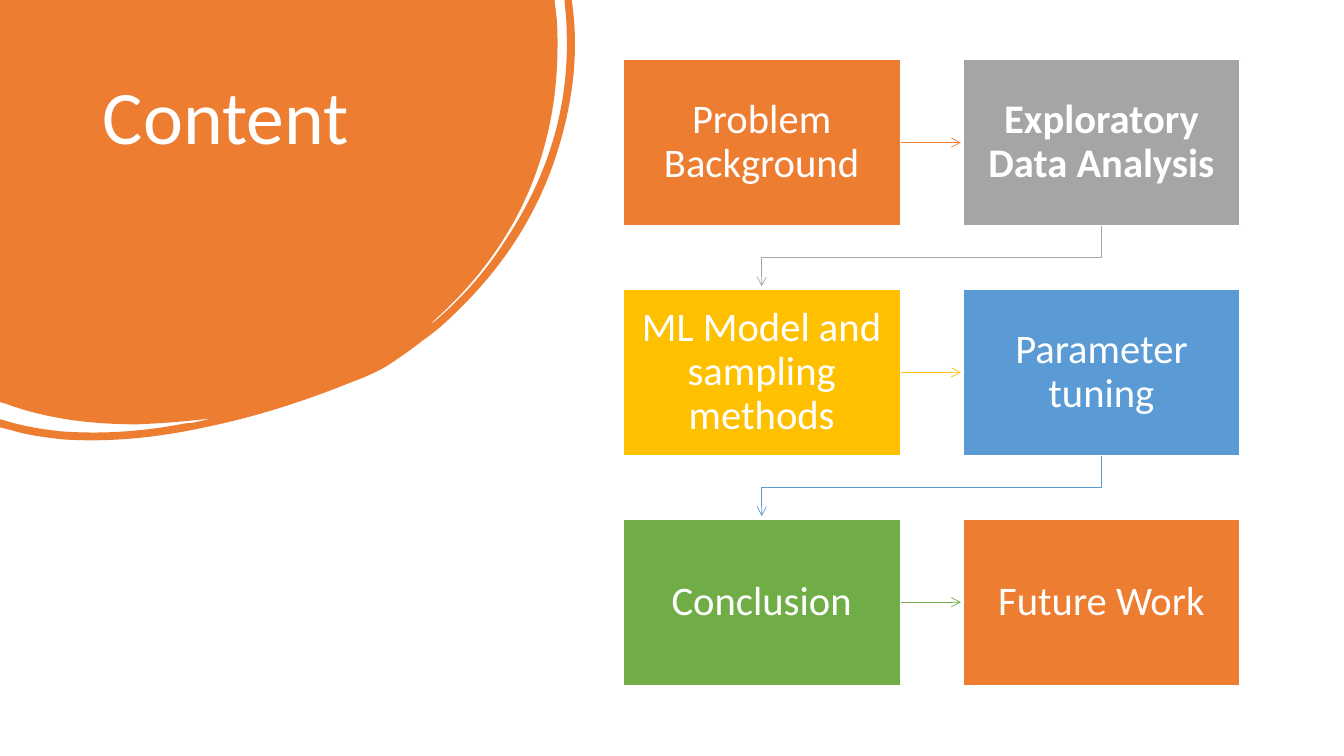
from lxml import etree
from pptx import Presentation
from pptx.dml.color import RGBColor
from pptx.enum.shapes import MSO_SHAPE
from pptx.enum.text import MSO_ANCHOR, MSO_AUTO_SIZE, PP_ALIGN
from pptx.oxml.ns import qn
from pptx.util import Inches, Pt

WHITE = RGBColor(0xFF, 0xFF, 0xFF)
ORANGE = RGBColor(0xED, 0x7D, 0x31)
GRAY = RGBColor(0xA5, 0xA5, 0xA5)
GOLD = RGBColor(0xFF, 0xC0, 0x00)
BLUE = RGBColor(0x5B, 0x9B, 0xD5)
GREEN = RGBColor(0x70, 0xAD, 0x47)
FONT = "Calibri"

# Grid of steps, in inches
LEFT, TOP = 6.18, 0.59
BOX_W, BOX_H = 2.75, 1.65
PITCH_X, PITCH_Y = 3.37, 2.28
COLUMNS = 2
ARROW_LEN, ARROW_H = 0.6, 0.1

STEPS = [
    ("Problem Background", ORANGE, False),
    ("Exploratory Data Analysis", GRAY, True),
    ("ML Model and sampling methods", GOLD, False),
    ("Parameter tuning", BLUE, False),
    ("Conclusion", GREEN, False),
    ("Future Work", ORANGE, False),
]

# Blob outline in inches: two numbers are a line, six a cubic curve
BLOB_FRAME = (0, 0, 5.71, 4.37)
BLOB = [
    (0, 0), (5.5, 0), (5.52, 0.17),
    (5.53, 0.26, 5.53, 0.36, 5.53, 0.45),
    (5.53, 1.01, 5.42, 1.54, 5.18, 2.04),
    (4.96, 2.49, 4.65, 2.88, 4.27, 3.21),
    (4.29, 3.21, 4.3, 3.19, 4.32, 3.18),
    (4.59, 2.95, 4.82, 2.69, 5.01, 2.39),
    (5.43, 1.76, 5.65, 1.07, 5.62, 0.3),
    (5.62, 0.21, 5.61, 0.12, 5.6, 0.03),
    (5.6, 0), (5.67, 0), (5.68, 0.07),
    (5.74, 0.54, 5.68, 1.02, 5.53, 1.5),
    (5.33, 2.14, 4.97, 2.68, 4.48, 3.14),
    (4.39, 3.23, 4.29, 3.31, 4.19, 3.38),
    (4.09, 3.46, 3.99, 3.53, 3.87, 3.61),
    (3.75, 3.69, 3.6, 3.75, 3.44, 3.81),
    (2.99, 3.99, 2.52, 4.14, 2.03, 4.24),
    (1.57, 4.34, 1.1, 4.39, 0.63, 4.36),
    (0.45, 4.34, 0.28, 4.32, 0.12, 4.27),
    (0, 4.24), (0, 4.16), (0.04, 4.17),
    (0.23, 4.23, 0.42, 4.26, 0.61, 4.28),
    (1.03, 4.31, 1.43, 4.28, 1.84, 4.2),
    (1.89, 4.2, 1.93, 4.19, 1.98, 4.18),
    (2.02, 4.17, 2.06, 4.16, 2.1, 4.15),
    (1.86, 4.18, 1.61, 4.2, 1.36, 4.21),
    (0.92, 4.21, 0.48, 4.16, 0.07, 4.01),
    (0, 3.99),
]


def add_outline(s, frame, segments, close=False):
    """Freeform with the given frame; segments are lines and cubic curves."""
    x, y, w, h = frame
    builder = s.shapes.build_freeform(Inches(x), Inches(y))
    builder.add_line_segments([(Inches(x + w), Inches(y + h))], close=False)
    sp = builder.convert_to_shape()
    sp.shadow.inherit = False

    # Draw the segments inside the frame
    outline = sp.element.find(".//" + qn("a:path"))
    for child in list(outline):
        outline.remove(child)
    for i, seg in enumerate(segments):
        tag = "a:moveTo" if i == 0 else "a:lnTo" if len(seg) == 2 else "a:cubicBezTo"
        command = etree.SubElement(outline, qn(tag))
        for px, py in zip(seg[::2], seg[1::2]):
            etree.SubElement(command, qn("a:pt"),
                             x=str(Inches(px - x)), y=str(Inches(py - y)))
    if close:
        etree.SubElement(outline, qn("a:close"))
    return sp


def add_run(p, text, size, bold=False):
    p.line_spacing = 0.9
    r = p.add_run()
    r.text = text
    r.font.name = FONT
    r.font.size = Pt(size)
    r.font.bold = bold
    r.font.color.rgb = WHITE


def add_blob(s):
    sp = add_outline(s, BLOB_FRAME, BLOB, close=True)
    sp.fill.solid()
    sp.fill.fore_color.rgb = ORANGE
    sp.line.fill.background()


def set_title(s, text):
    title = s.shapes.title
    title.left, title.top = Inches(0.92), Inches(0.74)
    title.width, title.height = Inches(3.52), Inches(2.22)
    tf = title.text_frame
    tf.auto_size = MSO_AUTO_SIZE.NONE
    tf.vertical_anchor = MSO_ANCHOR.TOP
    p = tf.paragraphs[0]
    p.alignment = PP_ALIGN.LEFT
    add_run(p, text, 54)
    # Bring the title in front of the blob
    title.element.getparent().append(title.element)


def add_step(s, x, y, text, color, bold):
    sp = s.shapes.add_shape(MSO_SHAPE.RECTANGLE, Inches(x), Inches(y),
                            Inches(BOX_W), Inches(BOX_H))
    sp.shadow.inherit = False
    sp.fill.solid()
    sp.fill.fore_color.rgb = color
    sp.line.color.rgb = WHITE
    sp.line.width = Pt(1)
    tf = sp.text_frame
    tf.word_wrap = True
    tf.vertical_anchor = MSO_ANCHOR.MIDDLE
    tf.margin_left = tf.margin_right = Inches(0.13)
    tf.margin_top = tf.margin_bottom = Inches(0.14)
    p = tf.paragraphs[0]
    p.alignment = PP_ALIGN.CENTER
    add_run(p, text, 29, bold)


def add_arrow(s, frame, points, color):
    sp = add_outline(s, frame, points)
    sp.fill.background()
    sp.line.color.rgb = color
    sp.line.width = Pt(0.5)
    ln = sp.element.spPr.find(qn("a:ln"))
    etree.SubElement(ln, qn("a:tailEnd"), type="arrow")


def add_next_arrow(s, x, y, color):
    """Arrow from a box to its right neighbour."""
    x, y = x + BOX_W, y + BOX_H / 2
    add_arrow(s, (x, y - ARROW_H / 2, ARROW_LEN, ARROW_H),
              [(x, y), (x + ARROW_LEN, y)], color)


def add_return_arrow(s, x, y, color):
    """Bent arrow from the last box of a row to the first of the next."""
    x, y = x + BOX_W / 2, y + BOX_H
    width = PITCH_X * (COLUMNS - 1)
    first_x, mid_y = x - width, y + (PITCH_Y - BOX_H) / 2
    add_arrow(s, (first_x, y, width, ARROW_LEN),
              [(x, y), (x, mid_y), (first_x, mid_y), (first_x, y + ARROW_LEN)],
              color)


def main():
    prs = Presentation()
    prs.slide_width, prs.slide_height = Inches(13.33), Inches(7.5)
    s = prs.slides.add_slide(prs.slide_layouts[5])

    # Title on the blob
    add_blob(s)
    set_title(s, "Content")

    # Steps, row by row, each with the arrow to the next
    for i, (text, color, bold) in enumerate(STEPS):
        row, col = divmod(i, COLUMNS)
        x, y = LEFT + col * PITCH_X, TOP + row * PITCH_Y
        if i < len(STEPS) - 1:
            link = add_next_arrow if col < COLUMNS - 1 else add_return_arrow
            link(s, x, y, color)
        add_step(s, x, y, text, color, bold)

    prs.save("out.pptx")


if __name__ == "__main__":
    main()
